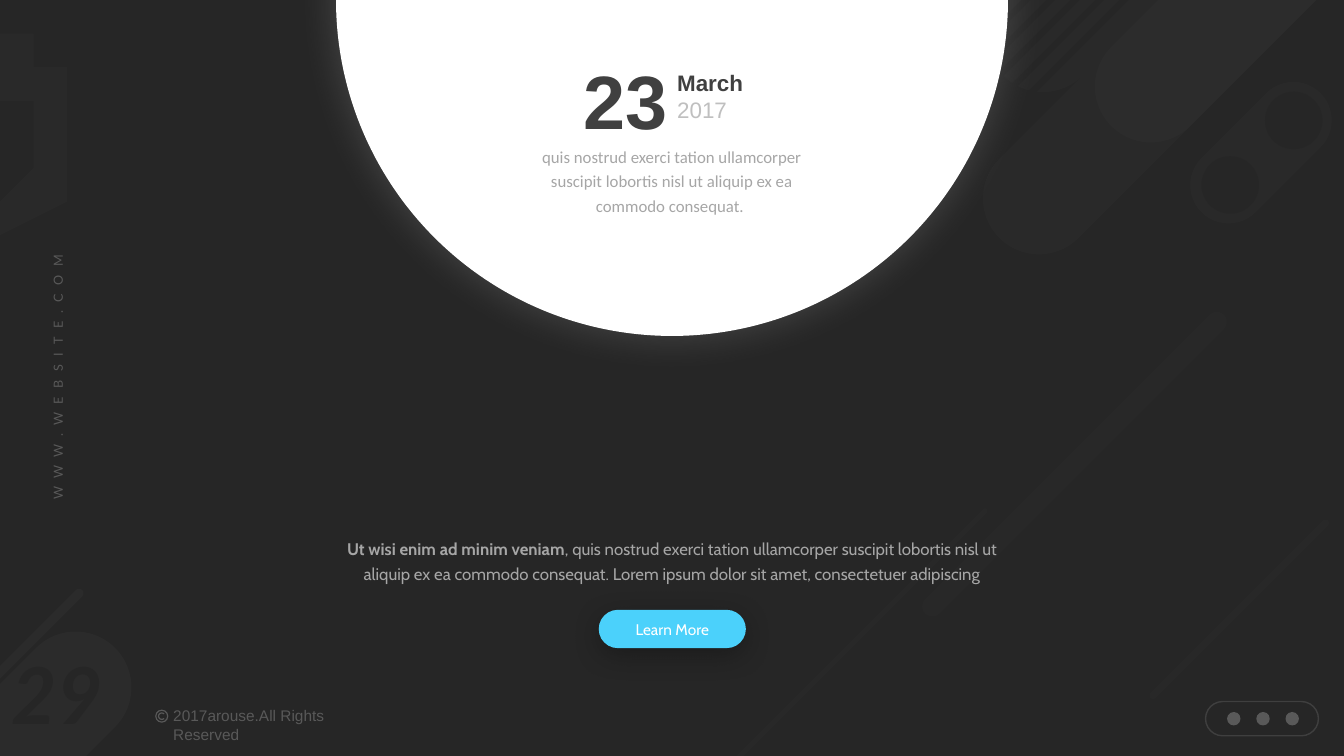
from lxml import etree
from pptx import Presentation
from pptx.dml.color import RGBColor
from pptx.enum.shapes import MSO_SHAPE
from pptx.enum.text import MSO_ANCHOR, MSO_AUTO_SIZE, PP_ALIGN
from pptx.oxml.ns import qn
from pptx.util import Inches, Pt

CAPSULE, OVAL = MSO_SHAPE.ROUNDED_RECTANGLE, MSO_SHAPE.OVAL
DONUT, ARC = MSO_SHAPE.DONUT, MSO_SHAPE.BLOCK_ARC
LEFT, CENTER, RIGHT = PP_ALIGN.LEFT, PP_ALIGN.CENTER, PP_ALIGN.RIGHT
TOP, MIDDLE = MSO_ANCHOR.TOP, MSO_ANCHOR.MIDDLE

# The slide is a grid of 40 columns by 22.5 rows of square cells.
CELL = Inches(13.3333) / 40
COLORS = {
    "dark": "262626", "ink": "404040", "muted": "595959", "text": "A6A6A6",
    "year": "BFBFBF", "white": "FFFFFF", "accent": "4BD1FB",
    "glow": "808080", "shade": "0D0D0D",
}
# Diagonal capsules: column, row, width, height, opacity in percent
CAPSULES = [
    (34.59, -8.64, 3.33, 18.42, 15),
    (37.92, -11.97, 3.33, 18.42, 15),
    (34.71, -13.47, 3.33, 18.42, 15),
    (36.39, 2.04, 2.28, 5.01, 15),
    (-0.18, 18.48, 3.33, 5.49, 20),
    (0.84, 16.95, 0.27, 4.17, 20),
    (24.87, 13.32, 0.15, 12.51, 10),
    (31.68, 7.53, 0.6, 12.57, 10),
    (36.78, 14.4, 0.21, 7.47, 10),
]
# Ring at the left edge: two-number points are corners, six are curves
RING = [
    (0, 1.38), (0.24, 1.38), (0.6, 1.44, 0.96, 1.56, 1.26, 1.77),
    (1.68, 2.1), (2.01, 2.52), (2.67, 3.51, 2.55, 4.86, 1.68, 5.73),
    (0, 7.41), (0, 5.85), (0.84, 5.01),
    (1.41, 4.44, 1.41, 3.51, 0.84, 2.94),
    (0.63, 2.73, 0.36, 2.58, 0.09, 2.52), (0, 2.52),
]


def rgb(name):
    return RGBColor.from_string(COLORS[name])


def cells(*values):
    return [round(v * CELL) for v in values]


def set_alpha(fill_parent, percent):
    color = fill_parent.find(".//" + qn("a:srgbClr"))
    etree.SubElement(color, qn("a:alpha")).set("val", str(percent * 1000))


def paint(sp, color, alpha=100):
    sp.shadow.inherit = False
    sp.line.fill.background()
    sp.fill.solid()
    sp.fill.fore_color.rgb = rgb(color)
    if alpha < 100:
        set_alpha(sp.element.spPr, alpha)


def add_shape(s, kind, box, color, alpha=100, rotation=0):
    sp = s.shapes.add_shape(kind, *cells(*box))
    if kind == CAPSULE:
        sp.adjustments[0] = 0.5
    paint(sp, color, alpha)
    sp.rotation = rotation
    return sp


def add_shadow(sp, color, blur, distance=0, angle=0):
    effects = sp.element.spPr.find(qn("a:effectLst"))
    shadow = etree.SubElement(effects, qn("a:outerShdw"), {
        "blurRad": str(Pt(blur)), "dist": str(Pt(distance)),
        "dir": str(angle * 60000), "algn": "ctr", "rotWithShape": "0"})
    etree.SubElement(shadow, qn("a:srgbClr")).set("val", COLORS[color])
    set_alpha(shadow, 40)


def add_ring(s):
    """Draw the ring, with each cubic curve cut into short segments."""
    points, steps = [], 12
    for node in RING:
        if len(node) == 2:
            points.append(node)
            continue
        a, b, c, d = points[-1], node[:2], node[2:4], node[4:]
        for i in range(1, steps + 1):
            t = i / steps
            u = 1 - t
            points.append(tuple(
                u**3 * a[k] + 3 * u * u * t * b[k]
                + 3 * u * t * t * c[k] + t**3 * d[k] for k in (0, 1)))
    builder = s.shapes.build_freeform(*points[0], scale=CELL)
    builder.add_line_segments(points[1:], close=True)
    paint(builder.convert_to_shape(), "ink", 15)


def write(sp, text, size, font, color, align=LEFT, bold=False,
          spacing=None, anchor=TOP):
    tf = sp.text_frame
    tf.text = text
    tf.word_wrap = True
    tf.auto_size = MSO_AUTO_SIZE.NONE
    tf.vertical_anchor = anchor
    p = tf.paragraphs[0]
    p.alignment = align
    p.line_spacing = spacing
    r = p.runs[0]
    r.font.size, r.font.name, r.font.bold = Pt(size), font, bold
    r.font.color.rgb = rgb(color)
    return r


def add_text(s, box, *args, **kwargs):
    return write(s.shapes.add_textbox(*cells(*box)), *args, **kwargs)


def add_backdrop(s):
    s.background.fill.solid()
    s.background.fill.fore_color.rgb = rgb("dark")
    add_ring(s)
    for *box, alpha in CAPSULES:
        add_shape(s, CAPSULE, box, "ink", alpha, 45)
    for x, y in ((37.65, 2.73), (35.76, 4.65)):
        add_shape(s, OVAL, (x, y, 1.71, 1.71), "dark")
    for i in range(5):
        add_shape(s, CAPSULE, (29.07 + 0.73 * i, -7.17, 0.18, 17.1),
                  "dark", rotation=45)


def add_margins(s):
    """Add the page number, copyright line, web address and social pill."""
    number = add_text(s, (-0.3, 19.2, 4, 2.85), "29", 56, "Lato", "dark",
                      CENTER, bold=True, anchor=MIDDLE)
    number.font.italic = True

    add_shape(s, DONUT, (4.62, 21.12, 0.39, 0.39), "muted").adjustments[0] = 0.09
    letter = add_shape(s, ARC, (4.7, 21.2, 0.23, 0.23), "muted")
    for i, value in enumerate((27, 189, 0.16)):
        letter.adjustments[i] = value
    add_text(s, (4.86, 20.88, 5.55, 1.4), "2017arouse.All Rights Reserved",
             11, "Arial", "muted")

    address = s.shapes.add_textbox(*cells(-2.61, 10.86, 8.67, 0.75))
    address.rotation = 270
    r = write(address, "WWW.WEBSITE.COM", 9, "Lato", "muted", CENTER)
    r.font._element.set("spc", "600")

    pill = add_shape(s, CAPSULE, (35.88, 20.88, 3.36, 1.02), "dark")
    pill.fill.background()
    pill.line.color.rgb = rgb("muted")
    pill.line.width = Pt(1)
    set_alpha(pill.element.spPr.find(qn("a:ln")), 50)
    for i in range(3):
        add_shape(s, OVAL, (36.52 + 0.87 * i, 21.19, 0.4, 0.4), "muted")


def add_date(s):
    disc = add_shape(s, OVAL, (10, -10, 20, 20), "white")
    add_shadow(disc, "glow", 30)
    add_text(s, (15.6, 4.11, 8.79, 2.49),
             "quis nostrud exerci tation ullamcorper suscipit lobortis nisl "
             "ut aliquip ex ea commodo consequat. ",
             12, "Calibri", "text", CENTER, spacing=1.2)
    title = s.shapes.title
    title.left, title.top, title.width, title.height = cells(16.5, 0.9, 3.66, 3.57)
    write(title, "23", 54, "Arial", "ink", RIGHT, bold=True, spacing=1.2)
    title.element.getparent().append(title.element)  # bring above the disc
    add_text(s, (19.86, 1.74, 3.66, 1.26), "March", 16, "Arial", "ink",
             bold=True, spacing=1.2)
    add_text(s, (19.86, 2.55, 3.66, 1.26), "2017", 16, "Arial", "year",
             spacing=1.2)


def add_call_to_action(s):
    button = add_shape(s, CAPSULE, (17.82, 18.15, 4.38, 1.14), "accent")
    add_shadow(button, "shade", 20, 5, 90)
    write(button, "Learn More", 11, "Cabin", "white", CENTER, anchor=MIDDLE)
    box = s.shapes.add_textbox(*cells(9.3, 15.78, 21.42, 1.77))
    write(box, "Ut wisi enim ad minim veniam", 12, "Cabin", "text", CENTER,
          bold=True, spacing=1.2)
    r = box.text_frame.paragraphs[0].add_run()
    r.text = (", quis nostrud exerci tation ullamcorper suscipit lobortis "
              "nisl ut aliquip ex ea commodo consequat. Lorem ipsum dolor "
              "sit amet, consectetuer adipiscing")
    r.font.size, r.font.name = Pt(12), "Cabin"
    r.font.color.rgb = rgb("text")


def main():
    prs = Presentation()
    prs.slide_width, prs.slide_height = cells(40, 22.5)
    s = prs.slides.add_slide(prs.slide_layouts[5])
    add_backdrop(s)
    add_margins(s)
    add_date(s)
    add_call_to_action(s)
    prs.save("out.pptx")


if __name__ == "__main__":
    main()
